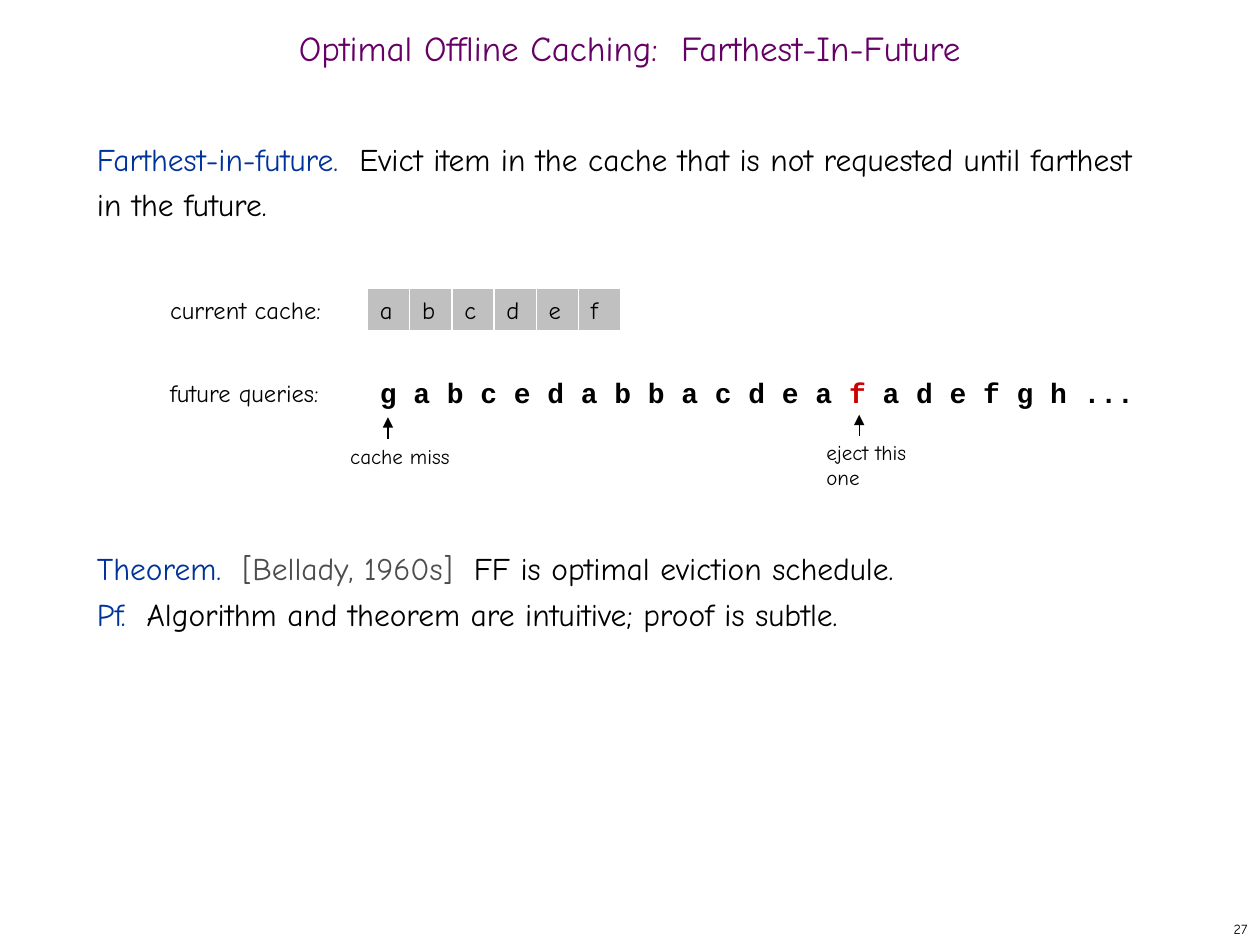
from dataclasses import dataclass
from typing import Optional

from lxml.etree import SubElement
from pptx import Presentation
from pptx.dml.color import RGBColor
from pptx.enum.shapes import MSO_CONNECTOR, MSO_SHAPE
from pptx.enum.text import MSO_ANCHOR as Anchor, MSO_AUTO_SIZE as AutoSize, PP_ALIGN as Align
from pptx.oxml.ns import qn
from pptx.util import Cm, Pt


@dataclass(frozen=True)
class Theme:
    font: str = "Comic Neue"
    code_font: str = "Courier New"
    title_size: float = 20
    body_size: float = 18
    query_size: float = 16
    label_size: float = 14
    note_size: float = 12
    number_size: float = 8
    body_line: float = 26
    line_width: float = 0.75
    title: str = "660066"
    term: str = "003399"
    citation: str = "4D4D4D"
    evicted: str = "CC0000"
    text: str = "000000"
    cell: str = "C0C0C0"
    paper: str = "FFFFFF"


@dataclass(frozen=True)
class Box:
    """A rectangle in centimetres."""
    left: float
    top: float
    width: float
    height: float

    def lengths(self) -> tuple:
        return Cm(self.left), Cm(self.top), Cm(self.width), Cm(self.height)


@dataclass(frozen=True)
class Run:
    text: str
    color: str = "000000"


@dataclass(frozen=True)
class Marker:
    """A note below the queries, with the arrow that points up from it."""
    note: str
    box: Box
    arrow_x: float
    arrow_bottom: float


THEME = Theme()
ROW_HEIGHT = 0.84
CACHE_TOP, QUERY_TOP = 5.82, 7.49
LABEL_LEFT, LABEL_WIDTH = 3.18, 3.6
CELL_LEFT, CELL_WIDTH = 7.41, 0.85
ARROW_LENGTH = 0.43
BLANK_LINES = 7
MARKERS = [
    Marker("cache miss", Box(7.06, 8.94, 2.01, 0.51), 7.82, 8.84),
    Marker("eject this one", Box(16.66, 8.86, 2.41, 0.51), 17.32, 8.79),
]


def write(paragraph, *runs: Run, size: float, font: str = THEME.font,
          bold: bool = False, align=Align.LEFT) -> None:
    paragraph.alignment = align
    for part in runs:
        run = paragraph.add_run()
        run.text = part.text
        run.font.name, run.font.size, run.font.bold = font, Pt(size), bold
        run.font.color.rgb = RGBColor.from_string(part.color)


def place(shape, box: Box) -> None:
    shape.left, shape.top, shape.width, shape.height = box.lengths()


def add_title(slide) -> None:
    title = slide.shapes.title
    place(title, Box(0, 0.43, 25.4, 1.27))
    frame = title.text_frame
    frame.auto_size, frame.vertical_anchor = AutoSize.NONE, Anchor.MIDDLE
    paragraph = frame.paragraphs[0]
    paragraph.line_spacing = 0.7
    write(paragraph, Run("Optimal Offline Caching:  Farthest-In-Future", THEME.title),
          size=THEME.title_size, align=Align.CENTER)


def add_body(slide) -> None:
    body = slide.placeholders[1]
    place(body, Box(1.7, 2.54, 21.8, 15.04))
    frame = body.text_frame
    frame.auto_size = AutoSize.NONE
    statements = [
        (0, [Run("Farthest-in-future.  ", THEME.term),
             Run("Evict item in the cache that is not requested until farthest in the future.")]),
        (BLANK_LINES, [Run("Theorem.  ", THEME.term),
                       Run("[Bellady, 1960s]  ", THEME.citation),
                       Run("FF is optimal eviction schedule.")]),
        (0, [Run("Pf.  ", THEME.term),
             Run("Algorithm and theorem are intuitive; proof is subtle.")]),
    ]
    for index, (lines_before, runs) in enumerate(statements):
        paragraph = frame.add_paragraph() if index else frame.paragraphs[0]
        paragraph.line_spacing = Pt(THEME.body_line)
        paragraph.space_before = Pt(lines_before * THEME.body_line)
        properties = paragraph._p.get_or_add_pPr()
        properties.set("marL", "0")
        properties.set("indent", "0")
        SubElement(properties, qn("a:buNone"))
        write(paragraph, *runs, size=THEME.body_size)


def add_cell(slide, box: Box, *runs: Run, fill: Optional[str] = None,
             size: float = THEME.label_size, font: str = THEME.font,
             bold: bool = False) -> None:
    shape = slide.shapes.add_shape(MSO_SHAPE.RECTANGLE, *box.lengths())
    shape.shadow.inherit = False
    if fill:
        shape.fill.solid()
        shape.fill.fore_color.rgb = RGBColor.from_string(fill)
    else:
        shape.fill.background()
    shape.line.color.rgb = RGBColor.from_string(THEME.paper)
    shape.line.width = Pt(THEME.line_width)
    frame = shape.text_frame
    frame.word_wrap, frame.vertical_anchor = False, Anchor.MIDDLE
    write(frame.paragraphs[0], *runs, size=size, font=font, bold=bold)


def add_arrow_up(slide, x: float, bottom: float) -> None:
    arrow = slide.shapes.add_connector(
        MSO_CONNECTOR.STRAIGHT, Cm(x), Cm(bottom), Cm(x), Cm(bottom - ARROW_LENGTH))
    arrow.line.color.rgb = RGBColor.from_string(THEME.text)
    arrow.line.width = Pt(THEME.line_width)
    SubElement(arrow.line._get_or_add_ln(), qn("a:tailEnd"), type="triangle")
    SubElement(arrow._element.spPr, qn("a:effectLst"))


def add_marker(slide, marker: Marker) -> None:
    frame = slide.shapes.add_textbox(*marker.box.lengths()).text_frame
    frame.word_wrap, frame.auto_size = False, AutoSize.SHAPE_TO_FIT_TEXT
    frame.margin_left = frame.margin_right = frame.margin_top = frame.margin_bottom = 0
    write(frame.paragraphs[0], Run(marker.note), size=THEME.note_size)
    add_arrow_up(slide, marker.arrow_x, marker.arrow_bottom)


def add_slide_number(slide) -> None:
    frame = slide.shapes.add_textbox(*Box(20.12, 18.42, 5.28, 0.63).lengths()).text_frame
    frame.word_wrap, frame.vertical_anchor = True, Anchor.MIDDLE
    write(frame.paragraphs[0], Run("27"), size=THEME.number_size, align=Align.RIGHT)


def main() -> None:
    presentation = Presentation()
    presentation.slide_width, presentation.slide_height = Cm(25.4), Cm(19.05)
    slide = presentation.slides.add_slide(presentation.slide_layouts[1])
    add_title(slide)
    add_body(slide)
    for label, top in (("current cache:", CACHE_TOP), ("future queries:", QUERY_TOP)):
        add_cell(slide, Box(LABEL_LEFT, top, LABEL_WIDTH, ROW_HEIGHT), Run(label))
    for index, item in enumerate("abcdef"):
        left = CELL_LEFT + index * CELL_WIDTH
        add_cell(slide, Box(left, CACHE_TOP, CELL_WIDTH, ROW_HEIGHT), Run(item), fill=THEME.cell)
    add_cell(slide, Box(CELL_LEFT, QUERY_TOP, 16.72, ROW_HEIGHT),
             Run("g a b c e d a b b a c d e a "), Run("f", THEME.evicted),
             Run(" a d e f g h ..."),
             size=THEME.query_size, font=THEME.code_font, bold=True)
    for marker in MARKERS:
        add_marker(slide, marker)
    add_slide_number(slide)
    presentation.save("out.pptx")


if __name__ == "__main__":
    main()
